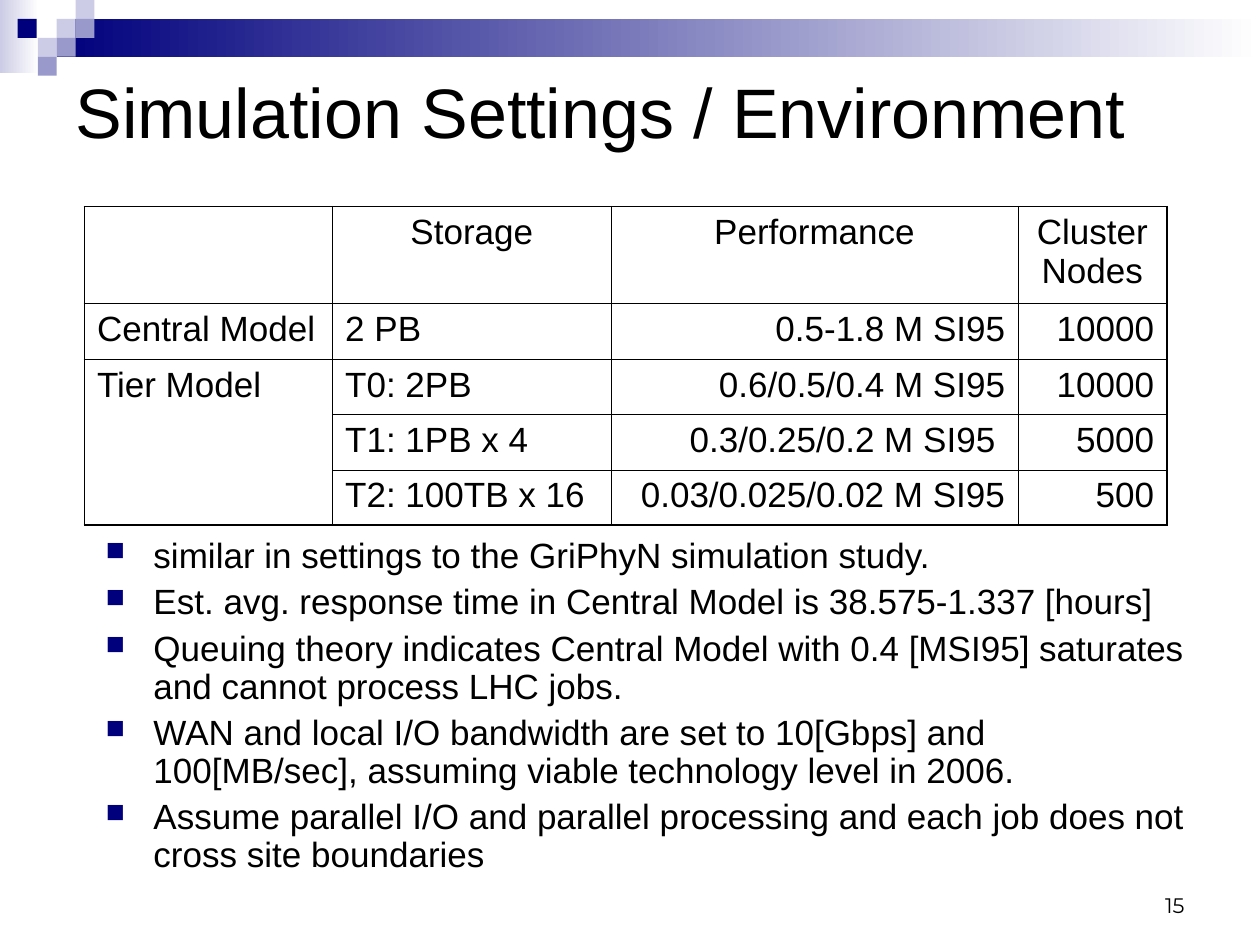
from lxml import etree
from pptx import Presentation
from pptx.dml.color import RGBColor
from pptx.enum.shapes import MSO_SHAPE
from pptx.enum.text import MSO_ANCHOR, PP_ALIGN
from pptx.oxml.ns import qn
from pptx.util import Inches, Pt

RECTANGLE = MSO_SHAPE.RECTANGLE
MIDDLE, BOTTOM = MSO_ANCHOR.MIDDLE, MSO_ANCHOR.BOTTOM
LEFT, CENTER, RIGHT = PP_ALIGN.LEFT, PP_ALIGN.CENTER, PP_ALIGN.RIGHT
BLACK, WHITE, NAVY, LILAC, LAVENDER = "000000", "FFFFFF", "00007D", "9999CC", "CCCCE6"


def color(value):
    return RGBColor.from_string(value)


def set_font(paragraph, size, name="Arial"):
    paragraph.font.size = Pt(size)
    paragraph.font.name = name
    paragraph.font.color.rgb = color(BLACK)


presentation = Presentation()
presentation.slide_width = Inches(10)
presentation.slide_height = Inches(7.5)
slide = presentation.slides.add_slide(presentation.slide_layouts[5])

# Header bands fading to white, then the small squares
bands = [(0, 0, 0.31, 0.58, LAVENDER), (0.45, 0.15, 9.55, 0.3, NAVY)]
squares = [
    (0.45, 0.15, LAVENDER), (0.6, 0, LAVENDER), (0.6, 0.15, LILAC),
    (0.3, 0.3, LAVENDER), (0.14, 0.15, NAVY), (0.45, 0.3, LILAC), (0.3, 0.45, LILAC),
]
for left, top, width, height, start in bands:
    shape = slide.shapes.add_shape(
        RECTANGLE, Inches(left), Inches(top), Inches(width), Inches(height))
    shape.shadow.inherit = False
    shape.line.fill.background()
    shape.fill.gradient()
    shape.fill.gradient_angle = 0
    for stop, value, position in zip(shape.fill.gradient_stops, (start, WHITE), (0, 1)):
        stop.color.rgb = color(value)
        stop.position = position
for left, top, value in squares:
    shape = slide.shapes.add_shape(
        RECTANGLE, Inches(left), Inches(top), Inches(0.15), Inches(0.15))
    shape.shadow.inherit = False
    shape.line.fill.background()
    shape.fill.solid()
    shape.fill.fore_color.rgb = color(value)

# Title
title = slide.shapes.title
title.left, title.top = Inches(0.5), Inches(0.13)
title.width, title.height = Inches(9), Inches(1.5)
title.text_frame.text = "Simulation Settings / Environment"
title.text_frame.vertical_anchor = MIDDLE
title.text_frame.paragraphs[0].alignment = LEFT
set_font(title.text_frame.paragraphs[0], 40)

# Settings table
rows = [
    ["", "Storage", "Performance", "Cluster Nodes"],
    ["Central Model", "2 PB", "0.5-1.8 M SI95", "10000"],
    ["Tier Model", "T0: 2PB", "0.6/0.5/0.4 M SI95", "10000"],
    ["", "T1: 1PB x 4", "0.3/0.25/0.2 M SI95 ", "5000"],
    ["", "T2: 100TB x 16", "0.03/0.025/0.02 M SI95", "500"],
]
column_widths = [1.97, 2.21, 3.23, 1.18]
row_heights = [0.77] + [0.44] * 4
table = slide.shapes.add_table(
    len(rows), len(column_widths), Inches(0.67), Inches(1.64),
    Inches(sum(column_widths)), Inches(sum(row_heights))).table
table.first_row = False
table.horz_banding = False
for column, width in zip(table.columns, column_widths):
    column.width = Inches(width)
for row, height in zip(table.rows, row_heights):
    row.height = Inches(height)
table.cell(2, 0).merge(table.cell(4, 0))

for row_index, row in enumerate(rows):
    for column_index, text in enumerate(row):
        cell = table.cell(row_index, column_index)
        cell.text = text
        paragraph = cell.text_frame.paragraphs[0]
        if row_index == 0:
            paragraph.alignment = CENTER
        else:
            paragraph.alignment = LEFT if column_index < 2 else RIGHT
        set_font(paragraph, 20)

        # Thick outer frame, thin inner lines
        last_row = row_index + (cell.span_height if cell.is_merge_origin else 1)
        outer_sides = {
            "a:lnL": column_index == 0,
            "a:lnR": column_index == len(row) - 1,
            "a:lnT": row_index == 0,
            "a:lnB": last_row == len(rows),
        }
        properties = cell._tc.get_or_add_tcPr()
        for side, is_outer in outer_sides.items():
            border = etree.SubElement(
                properties, qn(side), w=str(Pt(1.08 if is_outer else 0.45)))
            border_fill = etree.SubElement(border, qn("a:solidFill"))
            etree.SubElement(border_fill, qn("a:srgbClr"), val=BLACK)
        cell.fill.background()

# Bulleted notes
notes = [
    "similar in settings to the GriPhyN simulation study.",
    "Est. avg. response time in Central Model is 38.575-1.337 [hours]",
    "Queuing theory indicates Central Model with 0.4 [MSI95] saturates and cannot process "
    "LHC jobs.",
    "WAN and local I/O bandwidth are set to 10[Gbps] and 100[MB/sec], assuming viable "
    "technology level in 2006.",
    "Assume parallel I/O and parallel processing and each job does not cross site boundaries",
]
frame = slide.shapes.add_textbox(
    Inches(0.74), Inches(4.22), Inches(8.83), Inches(2.84)).text_frame
frame.word_wrap = True
for index, note in enumerate(notes):
    paragraph = frame.add_paragraph() if index else frame.paragraphs[0]
    paragraph.text = note
    paragraph.line_spacing = 0.9
    paragraph.space_before = Pt(5 if index else 0)
    properties = paragraph._p.get_or_add_pPr()
    properties.set("marL", str(Inches(0.38)))
    properties.set("indent", str(-Inches(0.38)))
    bullet_color = etree.SubElement(properties, qn("a:buClr"))
    etree.SubElement(bullet_color, qn("a:srgbClr"), val=NAVY)
    etree.SubElement(properties, qn("a:buSzPct"), val="75000")
    etree.SubElement(properties, qn("a:buChar"), char="■")
    set_font(paragraph, 20)

# Page number
frame = slide.shapes.add_textbox(
    Inches(7.17), Inches(6.83), Inches(2.33), Inches(0.5)).text_frame
frame.word_wrap = True
frame.vertical_anchor = BOTTOM
frame.text = "15"
frame.paragraphs[0].alignment = RIGHT
set_font(frame.paragraphs[0], 12, "Montserrat")

presentation.save("out.pptx")
